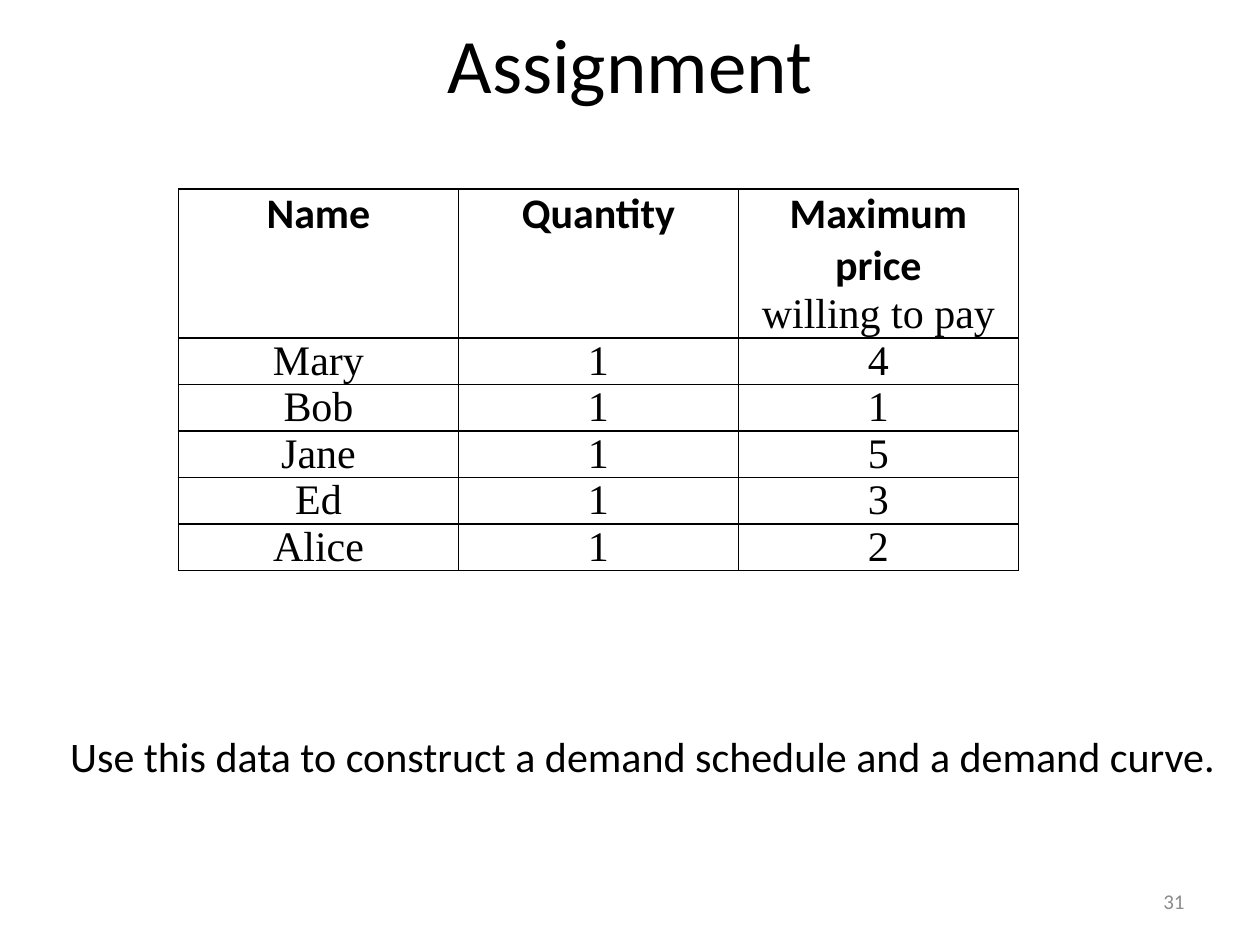
from pptx import Presentation
from pptx.util import Pt
from pptx.dml.color import RGBColor as RGB
from pptx.enum.text import PP_ALIGN as AL, MSO_ANCHOR as AN
from pptx.oxml import parse_xml
from pptx.oxml.ns import nsdecls

BLACK = RGB(0x00, 0x00, 0x00)
GRAY = RGB(0x8C, 0x8C, 0x8C)
SANS, SERIF = "Calibri", "Times New Roman"

HEAD = ["Name", "Quantity", "Maximum price\nwilling to pay"]
BIDS = [("Mary", 4), ("Bob", 1), ("Jane", 5), ("Ed", 3), ("Alice", 2)]


class Deck:
    def __init__(self):
        self.prs = Presentation()
        self.prs.slide_width, self.prs.slide_height = Pt(720), Pt(540)
        self.slide = self.prs.slides.add_slide(self.prs.slide_layouts[5])

    def style(self, par, size, font=SANS, color=BLACK, bold=False, align=AL.LEFT):
        par.alignment = align
        for run in par.runs:
            look = {"size": Pt(size), "name": font, "bold": bold}
            for key, val in look.items():
                setattr(run.font, key, val)
            run.font.color.rgb = color

    def title(self, text, box):
        shape = self.slide.shapes.title
        for key, val in zip(("left", "top", "width", "height"), box):
            setattr(shape, key, Pt(val))
        shape.text_frame.text = text
        shape.text_frame.vertical_anchor = AN.MIDDLE
        self.style(shape.text_frame.paragraphs[0], 44, align=AL.CENTER)

    def text(self, text, box, size, wrap=True, anchor=AN.TOP, **look):
        frame = self.slide.shapes.add_textbox(*map(Pt, box)).text_frame
        frame.text = text
        frame.word_wrap = wrap
        frame.vertical_anchor = anchor
        self.style(frame.paragraphs[0], size, **look)

    def edge(self, cell):
        """Draw a thin black line on all four sides of the cell."""
        props = cell._tc.get_or_add_tcPr()
        for pos, side in enumerate(("lnL", "lnR", "lnT", "lnB")):
            props.insert(pos, parse_xml(
                f'<a:{side} {nsdecls("a")} w="{Pt(1)}"><a:solidFill>'
                f'<a:srgbClr val="{BLACK}"/></a:solidFill></a:{side}>'))

    def cell(self, cell, text, head):
        """Fill a cell; only the first line of a head cell is bold sans."""
        cell.text = text
        cell.fill.background()
        fit = {"margin_left": Pt(5), "margin_right": Pt(5),
               "margin_top": 0, "margin_bottom": 0}
        for key, val in fit.items():
            setattr(cell, key, val)
        for num, par in enumerate(cell.text_frame.paragraphs):
            top = head and num == 0
            self.style(par, 24, SANS if top else SERIF, bold=top, align=AL.CENTER)
        self.edge(cell)

    def table(self, rows, box, high):
        grid = self.slide.shapes.add_table(
            len(rows), len(rows[0]), *map(Pt, box)).table
        for r, row in enumerate(rows):
            grid.rows[r].height = Pt(high[min(r, 1)])
            for c, text in enumerate(row):
                self.cell(grid.cell(r, c), text, r == 0)


def main():
    deck = Deck()
    deck.title("Assignment", (36, 0, 648, 72))
    rows = [HEAD] + [(name, "1", str(price)) for name, price in BIDS]
    deck.table(rows, (102, 108, 480, 185), high=(52, 26.6))
    deck.text("31", (516, 500.5, 168, 28.8), 12, anchor=AN.MIDDLE,
              color=GRAY, align=AL.RIGHT)
    deck.text("Use this data to construct a demand schedule and a demand curve.",
              (33, 414, 675, 36), 24, wrap=False)
    deck.prs.save("out.pptx")


if __name__ == "__main__":
    main()
